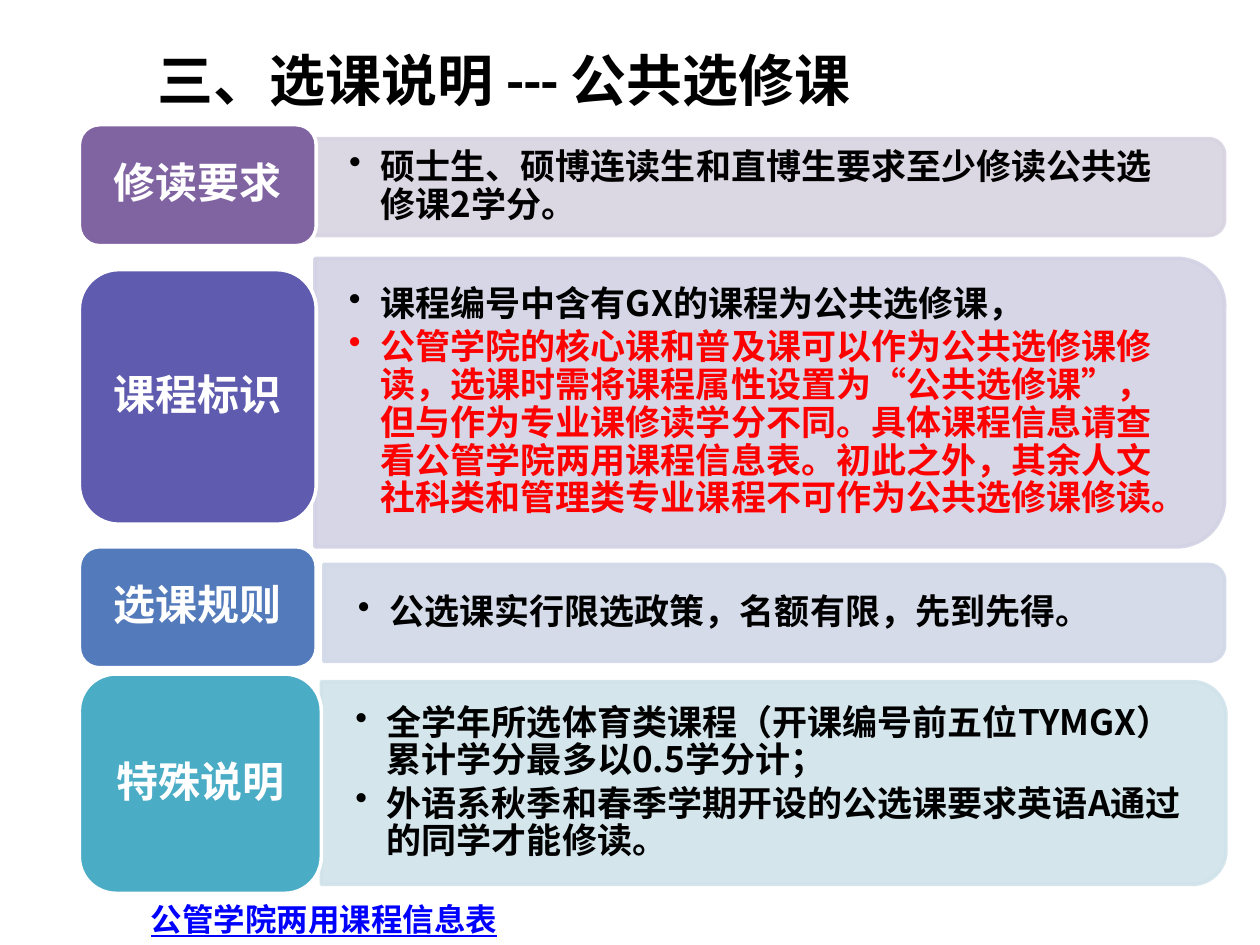
from lxml import etree
from pptx import Presentation
from pptx.dml.color import RGBColor
from pptx.enum.shapes import MSO_SHAPE
from pptx.enum.text import MSO_ANCHOR, PP_ALIGN
from pptx.oxml.ns import qn
from pptx.util import Inches, Pt

ROUNDED = MSO_SHAPE.ROUNDED_RECTANGLE
ROUND_TWO = MSO_SHAPE.ROUND_2_SAME_RECTANGLE
MIDDLE = MSO_ANCHOR.MIDDLE
CENTER, LEFT = PP_ALIGN.CENTER, PP_ALIGN.LEFT
FONT = "Noto Sans CJK SC"
BLACK, WHITE, RED, BLUE = "000000", "FFFFFF", "FF0000", "0000FF"


def format_text(para, size, color, font=FONT):
    for run in para.runs:
        run.font.size = Pt(size)
        run.font.bold = True
        run.font.name = font
        run.font.color.rgb = RGBColor.from_string(color)
        if font == FONT:
            etree.SubElement(run.font._element, qn("a:ea"), typeface=font)


def paint(shape, fill, line):
    shape.shadow.inherit = False
    shape.fill.solid()
    shape.fill.fore_color.rgb = RGBColor.from_string(fill)
    shape.line.color.rgb = RGBColor.from_string(line)
    shape.line.width = Pt(2)


deck = Presentation()
deck.slide_width, deck.slide_height = Inches(10), Inches(7.5)
page = deck.slides.add_slide(deck.slide_layouts[5])

# Title
title = page.shapes.title
title.left, title.top = Inches(0.55), Inches(0)
title.width, title.height = Inches(9), Inches(1.25)
frame = title.text_frame
frame.text = "三、选课说明 --- 公共选修课"
frame.margin_left = Inches(0.7)
frame.vertical_anchor = MIDDLE
frame.paragraphs[0].alignment = LEFT
format_text(frame.paragraphs[0], 32, BLACK, "Calibri")

# Rows: label, its colour, its top, width and height; panel colour, its left, top,
# width and height; left, width and height of the list; its items
rows = [
    ("修读要求", "8064A2", (0.99, 1.88, 0.96),
     "D8D3E0", (2.5, 1.1, 7.22, 0.77), (2.5, 7.18, 0.69),
     [("硕士生、硕博连读生和直博生要求至少修读公共选修课2学分。", BLACK)]),
    ("课程标识", "5F5BAE", (2.14, 1.88, 2.02),
     "D2D2E4", (2.5, 2.05, 7.22, 2.29), (2.5, 7.1, 2.07),
     [("课程编号中含有GX的课程为公共选修课，", BLACK),
      ("公管学院的核心课和普及课可以作为公共选修课修读，选课时需将课程属性设置为"
       "“公共选修课”，但与作为专业课修读学分不同。具体课程信息请查看公管学院两用"
       "课程信息表。初此之外，其余人文社科类和管理类专业课程不可作为公共选修课修读。", RED)]),
    ("选课规则", "537ABA", (4.34, 1.88, 0.96),
     "D1D8E7", (2.57, 4.48, 7.15, 0.77), (2.57, 7.12, 0.69),
     [("公选课实行限选政策，名额有限，先到先得。", BLACK)]),
    ("特殊说明", "4BACC6", (5.35, 1.92, 1.74),
     "D0E3EA", (2.55, 5.41, 7.18, 1.61), (2.55, 7.1, 1.45),
     [("全学年所选体育类课程（开课编号前五位TYMGX）累计学分最多以0.5学分计；", BLACK),
      ("外语系秋季和春季学期开设的公选课要求英语A通过的同学才能修读。", BLACK)]),
]

for label, color, label_area, panel_color, panel_area, list_area, items in rows:
    # Panel: turned a quarter so that its round corners face right
    left, top, width, height = panel_area
    panel = page.shapes.add_shape(
        ROUND_TWO, Inches(left + (width - height) / 2),
        Inches(top + (height - width) / 2), Inches(height), Inches(width))
    panel.rotation = 90
    paint(panel, panel_color, panel_color)
    for color_node in panel._element.spPr.iter(qn("a:srgbClr")):
        etree.SubElement(color_node, qn("a:alpha"), val="90000")

    # Bulleted list, centred on the panel
    list_left, list_width, list_height = list_area
    box = page.shapes.add_textbox(
        Inches(list_left), Inches(top + (height - list_height) / 2),
        Inches(list_width), Inches(list_height))
    frame = box.text_frame
    frame.word_wrap = True
    frame.vertical_anchor = MIDDLE
    frame.margin_left = frame.margin_right = Inches(0.27)
    frame.margin_top = frame.margin_bottom = Inches(0.14)
    for index, (item, item_color) in enumerate(items):
        para = frame.add_paragraph() if index else frame.paragraphs[0]
        para.text = item
        para.line_spacing = 0.9
        para.space_after = Pt(3)
        format_text(para, 20, item_color)
        properties = para._p.get_or_add_pPr()
        properties.set("marL", str(Inches(0.25)))
        properties.set("indent", str(Inches(-0.25)))
        etree.SubElement(properties, qn("a:buChar"), char="•")

    # Label
    label_top, label_width, label_height = label_area
    tab = page.shapes.add_shape(
        ROUNDED, Inches(0.63), Inches(label_top),
        Inches(label_width), Inches(label_height))
    paint(tab, color, WHITE)
    frame = tab.text_frame
    frame.text = label
    frame.vertical_anchor = MIDDLE
    para = frame.paragraphs[0]
    para.alignment = CENTER
    para.line_spacing = 0.9
    format_text(para, 24, WHITE)

# Reference to the course table
reference = page.shapes.add_textbox(Inches(1.1), Inches(7.09), Inches(3), Inches(0.4))
reference.text_frame.text = "公管学院两用课程信息表"
para = reference.text_frame.paragraphs[0]
format_text(para, 18, BLUE)
para.runs[0].font.underline = True

deck.save("out.pptx")
